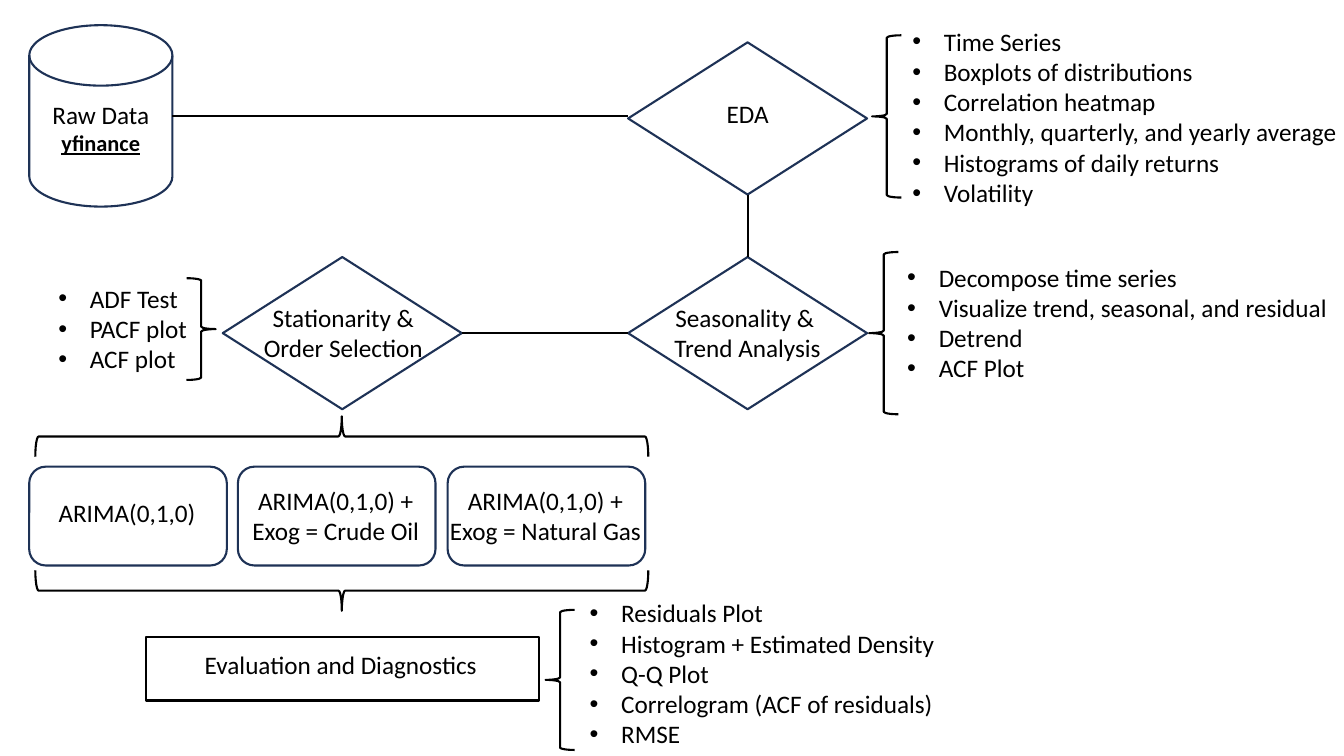
from pptx import Presentation
from pptx.dml.color import RGBColor as Rgb
from pptx.enum.shapes import MSO_CONNECTOR as Conn, MSO_SHAPE as Kind
from pptx.enum.text import MSO_ANCHOR as Anchor, PP_ALIGN as Align
from pptx.oxml.ns import qn
from pptx.util import Pt
from lxml.etree import SubElement as Sub

PX = 9144  # 100 px to the inch
LINE = 30  # height of one text line
COLS = {"ink": "000000", "navy": "1E3256"}
FONT = {"name": "Calibri", "size": Pt(18)}
STRONG = {"size": Pt(16), "bold": True, "underline": True}


def emu(*nums):
    return [round(n * PX) for n in nums]


def style(item, vals):
    for key, val in vals.items():
        setattr(item, key, val)


def trace(line, col):
    line.color.rgb = Rgb.from_string(COLS[col])
    line.width = Pt(1.5)


def shape(slide, kind, box, col="ink", turn=0):
    item = slide.shapes.add_shape(kind, *emu(*box))
    item.shadow.inherit = False
    item.fill.background()
    item.rotation = turn
    trace(item.line, col)
    return item


def write(slide, box, lines, align=Align.CENTER, wrap=False, strong=()):
    frame = slide.shapes.add_textbox(*emu(*box)).text_frame
    style(frame, {"word_wrap": wrap, "vertical_anchor": Anchor.TOP})
    for i, words in enumerate(lines):
        para = frame.add_paragraph() if i else frame.paragraphs[0]
        para.alignment = align
        run = para.add_run()
        run.text = words
        style(run.font, FONT | (STRONG if i in strong else {}))
        run.font.color.rgb = Rgb.from_string(COLS["ink"])
    return frame


def node(slide, kind, box, lines, size, shift=(0, 0), col="navy", **opts):
    """Outlined step with a label centred on it, moved by shift."""
    x, y, w, h = box
    item = shape(slide, kind, box, col)
    tw, th = size
    spot = (x + (w - tw) / 2 + shift[0], y + (h - th) / 2 + shift[1], tw, th)
    write(slide, spot, lines, **opts)
    return item


def notes(slide, kind, box, lines, shift, width):
    """Brace with a bullet list placed relative to it."""
    x, y, w, h = box
    shape(slide, kind, box)
    spot = (x + shift[0], y + shift[1], width, LINE * len(lines) + 10)
    frame = write(slide, spot, lines, Align.LEFT)
    for para in frame.paragraphs:
        props = para._p.get_or_add_pPr()
        props.set("marL", "285750")
        props.set("indent", "-285750")
        Sub(props, qn("a:buFont"), typeface="Arial")
        Sub(props, qn("a:buChar"), char="•")


def span(slide, box, turn):
    """Wide brace: an upright one turned about the centre of the box."""
    x, y, w, h = box
    frame = (x + (w - h) / 2, y + (h - w) / 2, h, w)
    shape(slide, Kind.RIGHT_BRACE, frame, turn=turn)


def link(slide, start, end, ties=()):
    line = slide.shapes.add_connector(Conn.STRAIGHT, *emu(*start, *end))
    trace(line.line, "ink")
    Sub(line._element.spPr, qn("a:effectLst"))
    if ties:
        head, out, tail, into = ties
        line.begin_connect(head, out)
        line.end_connect(tail, into)


def explore(slide, x, y):
    """Data source, EDA and seasonality; returns the seasonality step."""
    gem = Kind.FLOWCHART_DECISION
    node(slide, Kind.FLOWCHART_MAGNETIC_DISK, (x, y, 142, 180),
         ["Raw Data", "yfinance"], (117, 67), (0, 12), strong=(1,))
    eda = node(slide, gem, (x + 594, y + 17, 237, 151), ["EDA"], (62, 40), (0, -5))
    trend = node(slide, gem, (x + 594, y + 230, 237, 151),
                 ["Seasonality & ", "Trend Analysis"], (167, 71))
    notes(slide, Kind.LEFT_BRACE, (x + 836, y + 10, 29, 161),
          ["Time Series", "Boxplots of distributions", "Correlation heatmap",
           "Monthly, quarterly, and yearly average",
           "Histograms of daily returns", "Volatility"], (30, -14), 460)
    notes(slide, Kind.LEFT_BRACE, (x + 833, y + 225, 29, 161),
          ["Decompose time series", "Visualize trend, seasonal, and residual",
           "Detrend", "ACF Plot"], (28, 5), 447)
    link(slide, (x + 142, y + 90), (x + 594, y + 90))
    link(slide, (x + 712, y + 168), (x + 712, y + 230), (eda, 2, trend, 0))
    return trend


def select(slide, x, y, trend):
    """Stationarity step with its tests, joined to the seasonality step."""
    step = node(slide, Kind.FLOWCHART_DECISION, (x + 192, y, 237, 151),
                ["Stationarity & Order Selection"], (198, 71), (1, 0), wrap=True)
    notes(slide, Kind.RIGHT_BRACE, (x + 156, y + 21, 29, 101),
          ["ADF Test", "PACF plot", "ACF plot"], (-137, 0), 149)
    link(slide, (x + 429, y + 75), (x + 594, y + 75), (step, 3, trend, 1))


def models(slide, x, y):
    """Three candidate models between two wide braces."""
    names = [["ARIMA(0,1,0)"], ["ARIMA(0,1,0) +", "Exog = Crude Oil"],
             ["ARIMA(0,1,0) +", "Exog = Natural Gas"]]
    sizes = [(163, 40), (188, 71), (212, 71)]
    span(slide, (x + 6, y - 50, 608, 40), 270)
    for i, (lines, size) in enumerate(zip(names, sizes)):
        box = (x + i * 415 // 2, y, 196, 98)
        lift = -4 if len(lines) == 1 else 0
        node(slide, Kind.FLOWCHART_ALTERNATE_PROCESS, box, lines, size, (-1, lift))
    span(slide, (x + 6, y + 103, 608, 40), 90)


def assess(slide, x, y):
    """Evaluation step with its checks."""
    node(slide, Kind.FLOWCHART_PROCESS, (x, y, 390, 63),
         ["Evaluation and Diagnostics"], (293, 40), (-2, -4), "ink")
    notes(slide, Kind.LEFT_BRACE, (x + 396, y - 27, 29, 139),
          ["Residuals Plot", "Histogram + Estimated Density", "Q-Q Plot",
           "Correlogram (ACF of residuals)", "RMSE"], (34, -17), 364)


def main():
    deck = Presentation()
    deck.slide_width, deck.slide_height = emu(1333, 750)
    slide = deck.slides.add_slide(deck.slide_layouts[6])
    trend = explore(slide, 29, 25)
    select(slide, 29, 255, trend)
    models(slide, 29, 463)
    assess(slide, 145, 632)
    deck.save("out.pptx")


if __name__ == "__main__":
    main()
